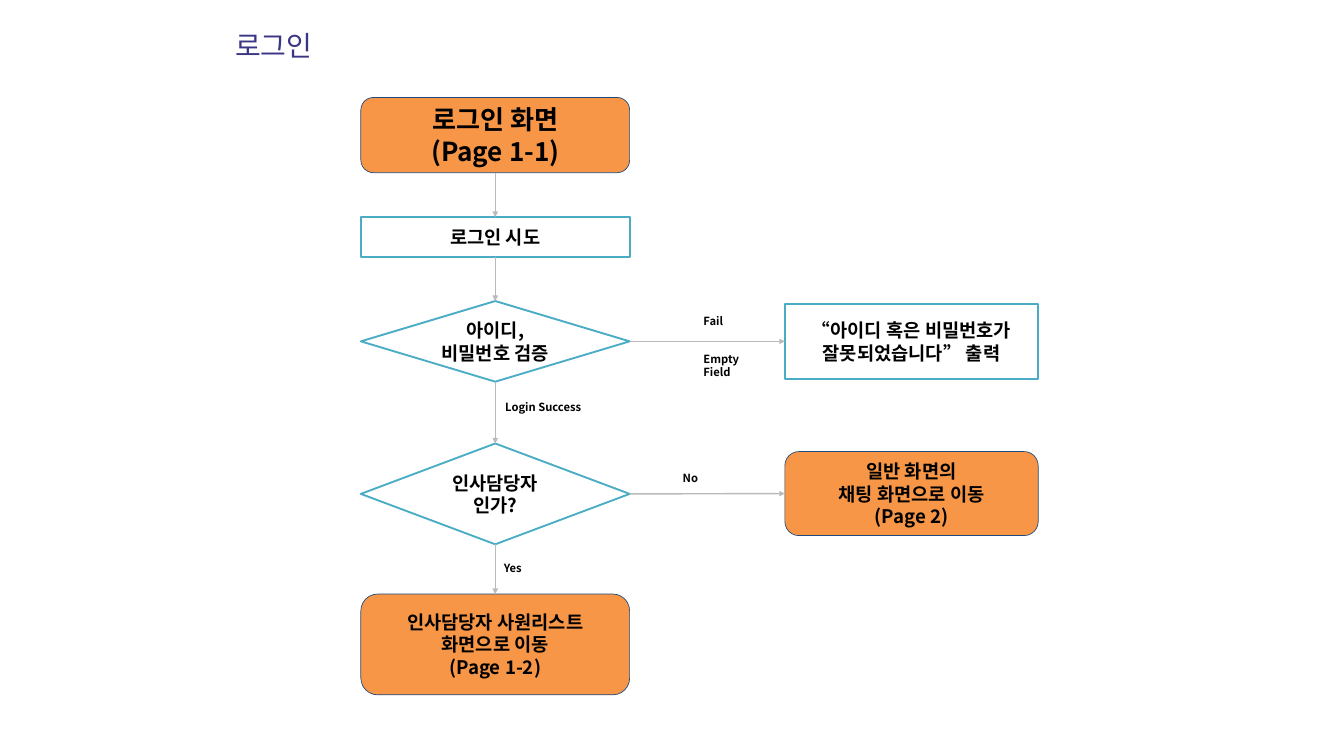
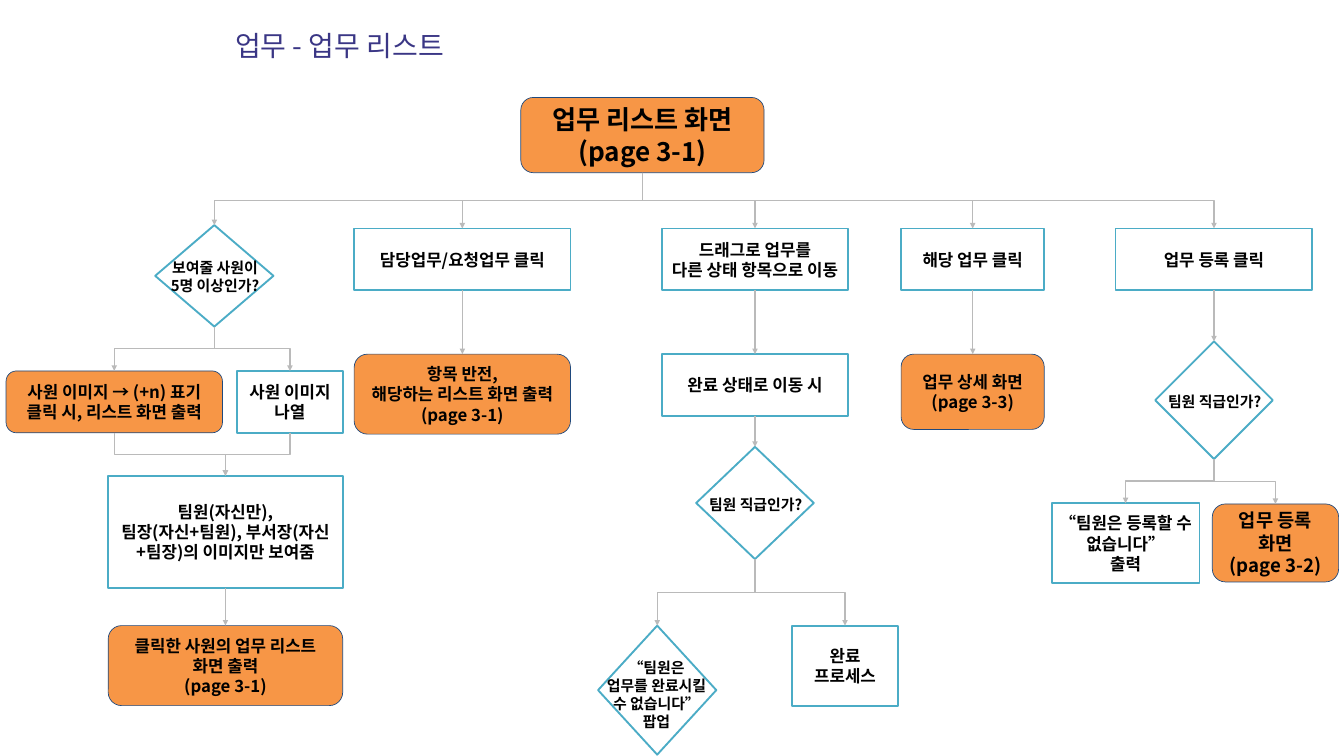
from dataclasses import dataclass

import lxml.etree
import pptx
import pptx.dml.color
import pptx.enum.shapes
import pptx.enum.text
import pptx.oxml.ns
import pptx.util

Inches = pptx.util.Inches
Preset = pptx.enum.shapes.MSO_SHAPE
Anchor = pptx.enum.text.MSO_ANCHOR
Align = pptx.enum.text.PP_ALIGN
qn = pptx.oxml.ns.qn

FONT = "Noto Sans CJK KR"
COLORS = {
    "white": "FFFFFF",
    "text": "000000",
    "title": "3A3685",
    "screen": "F79646",
    "screen_line": "1F497D",
    "step_line": "4BACC6",
    "arrow": "BABABA",
}
TOP, BOTTOM, LEFT, RIGHT = 0, 2, 1, 3


@dataclass(frozen=True)
class Look:
    preset: Preset
    fill: str = "white"
    line: str = "step_line"
    weight: float = 2


LOOKS = {
    "screen": Look(Preset.FLOWCHART_ALTERNATE_PROCESS, "screen", "screen_line", 0.75),
    "step": Look(Preset.FLOWCHART_PROCESS),
    "action": Look(Preset.RECTANGLE),
    "check": Look(Preset.FLOWCHART_DECISION),
    "popup": Look(Preset.DIAMOND),
}


@dataclass(frozen=True)
class Node:
    name: str
    look: str
    left: float
    top: float
    width: float
    height: float
    text: str = ""
    size: int = 18


@dataclass(frozen=True)
class Label:
    left: float
    top: float
    width: float
    height: float
    text: str
    size: int = 16
    align: Align = Align.CENTER
    anchor: Anchor = Anchor.MIDDLE
    color: str = "text"
    bold: bool = True
    inset: float = 0.1


@dataclass(frozen=True)
class Link:
    start: str
    end: str
    elbow: bool = False
    sideways: bool = False
    bend: float = 0.5


@dataclass(frozen=True)
class Flow:
    title: str
    nodes: list[Node]
    links: list[Link]
    labels: list[Label]


def side_label(left: float, top: float, width: float, text: str,
               anchor: Anchor = Anchor.TOP) -> Label:
    return Label(left, top, width, 0.44, text, 12, Align.LEFT, anchor)


def chain(*names: str) -> list[Link]:
    return [Link(start, end) for start, end in zip(names, names[1:])]


def fork(start: str, *ends: str) -> list[Link]:
    return [Link(start, end, elbow=True) for end in ends]


LOGIN = Flow(
    "로그인",
    [
        Node("login", "screen", 5.37, 1.45, 4, 1.12, "로그인 화면\n(Page 1-1)", 28),
        Node("attempt", "action", 5.37, 3.23, 4, 0.59, "로그인 시도", 20),
        Node("verify", "check", 5.37, 4.48, 4, 1.2, "아이디,\n비밀번호 검증", 20),
        Node("error", "step", 11.68, 4.52, 3.77, 1.12,
             "“아이디 혹은 비밀번호가 잘못되었습니다” 출력", 20),
        Node("manager", "check", 5.37, 6.6, 4, 1.5, "인사담당자\n인가?", 20),
        Node("chat", "screen", 11.68, 6.72, 3.77, 1.25,
             "일반 화면의\n채팅 화면으로 이동\n(Page 2)", 20),
        Node("staff", "screen", 5.37, 8.84, 4, 1.5,
             "인사담당자 사원리스트\n화면으로 이동\n(Page 1-2)", 20),
    ],
    chain("login", "attempt", "verify", "manager", "staff")
    + [Link("verify", "error", sideways=True), Link("manager", "chat", sideways=True)],
    [
        side_label(10.37, 4.58, 0.73, "Fail"),
        side_label(10.37, 5.14, 0.97, "Empty Field"),
        side_label(7.42, 5.86, 1.58, "Login Success"),
        side_label(10.06, 6.91, 0.89, "No"),
        side_label(7.4, 8.24, 0.89, "Yes", Anchor.MIDDLE),
    ],
)

TASKS = Flow(
    "업무 - 업무 리스트",
    [
        Node("list", "screen", 7.75, 1.45, 3.62, 1.12, "업무 리스트 화면\n(page 3-1)", 28),
        Node("five", "check", 2.31, 3.35, 1.76, 1.51),
        Node("filter", "step", 5.27, 3.4, 3.22, 0.92, "담당업무/요청업무 클릭"),
        Node("drag", "step", 9.85, 3.4, 2.77, 0.92,
             "드래그로 업무를\n다른 상태 항목으로 이동"),
        Node("pick", "step", 13.41, 3.4, 2.13, 0.92, "해당 업무 클릭"),
        Node("register", "step", 16.6, 3.4, 2.93, 0.92, "업무 등록 클릭"),
        Node("more", "screen", 0.09, 5.52, 3.22, 0.92,
             "사원 이미지 → (+n) 표기\n클릭 시, 리스트 화면 출력"),
        Node("images", "step", 3.53, 5.52, 1.57, 0.92, "사원 이미지 나열"),
        Node("scope", "step", 1.61, 7.08, 3.49, 1.67,
             "팀원(자신만),\n팀장(자신+팀원), 부서장(자신+팀장)의 이미지만 보여줌"),
        Node("member_tasks", "screen", 1.61, 9.31, 3.49, 1.19,
             "클릭한 사원의 업무 리스트\n화면 출력\n(page 3-1)"),
        Node("inverted", "screen", 5.27, 5.27, 3.22, 1.19,
             "항목 반전,\n해당하는 리스트 화면 출력\n(page 3-1)"),
        Node("to_done", "step", 9.85, 5.27, 2.77, 0.92, "완료 상태로 이동 시"),
        Node("done_rank", "check", 10.36, 6.65, 1.75, 1.67),
        Node("refused", "popup", 8.9, 9.31, 1.76, 1.92),
        Node("done", "step", 11.79, 9.31, 1.57, 1.19, "완료 프로세스"),
        Node("detail", "screen", 13.41, 5.27, 2.13, 1.12, "업무 상세 화면\n(page 3-3)"),
        Node("register_rank", "check", 17.19, 5.08, 1.75, 1.75),
        Node("blocked", "step", 15.65, 7.49, 2.2, 1.19,
             "“팀원은 등록할 수 없습니다”\n출력"),
        Node("form", "screen", 18.04, 7.5, 1.88, 1.16, "업무 등록\n화면\n(page 3-2)", 20),
    ],
    [Link("list", "five", elbow=True, bend=0.53)]
    + fork("list", "filter", "drag", "pick", "register")
    + fork("five", "more", "images")
    + fork("more", "scope")
    + fork("images", "scope")
    + fork("done_rank", "refused", "done")
    + fork("register_rank", "blocked", "form")
    + chain("scope", "member_tasks")
    + chain("filter", "inverted")
    + chain("drag", "to_done", "done_rank")
    + chain("pick", "detail")
    + chain("register", "register_rank"),
    [
        Label(2.26, 3.56, 1.88, 1.12, "보여줄 사원이\n5명 이상인가?"),
        Label(17.2, 5.63, 1.75, 0.69, "팀원 직급인가?"),
        Label(10.37, 7.18, 1.75, 0.66, "팀원 직급인가?"),
        Label(8.52, 9.7, 2.5, 1.28, "“팀원은\n업무를 완료시킬\n수 없습니다”\n팝업",
              anchor=Anchor.TOP),
    ],
)


def rgb(name: str) -> pptx.dml.color.RGBColor:
    return pptx.dml.color.RGBColor.from_string(COLORS[name])


def apply(target, values: dict) -> None:
    for name, value in values.items():
        setattr(target, name, value)


def frame(item) -> tuple:
    return tuple(Inches(n) for n in (item.left, item.top, item.width, item.height))


def write(box, text: str, size: int, align: Align = Align.CENTER,
          anchor: Anchor = Anchor.MIDDLE, color: str = "text",
          bold: bool = True, inset: float = 0.1) -> None:
    margins = {f"margin_{side}": Inches(inset) for side in ("left", "top", "right", "bottom")}
    apply(box.text_frame, {"word_wrap": True, "vertical_anchor": anchor, **margins})
    for index, line in enumerate(text.split("\n")):
        para = box.text_frame.add_paragraph() if index else box.text_frame.paragraphs[0]
        apply(para, {"alignment": align, "line_spacing": 1.0})
        span = para.add_run()
        span.text = line
        apply(span.font, {"size": pptx.util.Pt(size), "bold": bold, "name": FONT})
        span.font.color.rgb = rgb(color)
        lxml.etree.SubElement(span.font._element, qn("a:ea"), typeface=FONT)


def draw_node(page, node: Node):
    look = LOOKS[node.look]
    box = page.shapes.add_shape(look.preset, *frame(node))
    box.shadow.inherit = False
    box.fill.solid()
    box.fill.fore_color.rgb = rgb(look.fill)
    box.line.color.rgb = rgb(look.line)
    box.line.width = pptx.util.Pt(look.weight)
    if node.text:
        write(box, node.text, node.size)
    return box


def draw_label(page, label: Label) -> None:
    box = page.shapes.add_textbox(*frame(label))
    write(box, label.text, label.size, label.align, label.anchor,
          label.color, label.bold, label.inset)


def turn_downward(arrow, bend: float) -> None:
    rise, run = arrow.end_y - arrow.begin_y, arrow.end_x - arrow.begin_x
    middle_x = (arrow.begin_x + arrow.end_x) // 2
    middle_y = (arrow.begin_y + arrow.end_y) // 2
    apply(arrow, {"left": middle_x - rise // 2, "top": middle_y - abs(run) // 2,
                  "width": rise, "height": abs(run)})
    transform = arrow._element.spPr.find(qn("a:xfrm"))
    transform.set("rot", str((270 if run > 0 else 90) * 60000))
    transform.set("flipH", "1" if run > 0 else "0")
    guides = arrow._element.spPr.find(qn("a:prstGeom")).find(qn("a:avLst"))
    lxml.etree.SubElement(guides, qn("a:gd"), name="adj1", fmla=f"val {round(bend * 100000)}")


def draw_link(page, link: Link, boxes: dict) -> None:
    kinds = pptx.enum.shapes.MSO_CONNECTOR
    arrow = page.shapes.add_connector(kinds.ELBOW if link.elbow else kinds.STRAIGHT, 0, 0, 0, 0)
    arrow.begin_connect(boxes[link.start], RIGHT if link.sideways else BOTTOM)
    arrow.end_connect(boxes[link.end], LEFT if link.sideways else TOP)
    if link.elbow:
        turn_downward(arrow, link.bend)
    arrow.line.color.rgb = rgb("arrow")
    arrow.line.width = pptx.util.Pt(1.5)
    lxml.etree.SubElement(arrow.line._get_or_add_ln(), qn("a:tailEnd"), type="triangle")
    lxml.etree.SubElement(arrow._element.spPr, qn("a:effectLst"))


def draw_title(page, title: str) -> None:
    band = page.shapes.add_shape(Preset.RECTANGLE, 0, Inches(0.31), Inches(10.77), Inches(0.75))
    band.shadow.inherit = False
    band.fill.solid()
    band.fill.fore_color.rgb = rgb("white")
    band.line.fill.background()
    draw_label(page, Label(3.5, 0.42, 7.01, 0.44, title, 30, Align.LEFT,
                           Anchor.TOP, "title", False, 0))


def draw_flow(deck, flow: Flow) -> None:
    page = deck.slides.add_slide(deck.slide_layouts[6])
    boxes = {node.name: draw_node(page, node) for node in flow.nodes}
    for link in flow.links:
        draw_link(page, link, boxes)
    for label in flow.labels:
        draw_label(page, label)
    draw_title(page, flow.title)


def main() -> None:
    deck = pptx.Presentation()
    apply(deck, {"slide_width": Inches(20), "slide_height": Inches(11.25)})
    for flow in (LOGIN, TASKS):
        draw_flow(deck, flow)
    deck.save("out.pptx")


if __name__ == "__main__":
    main()
